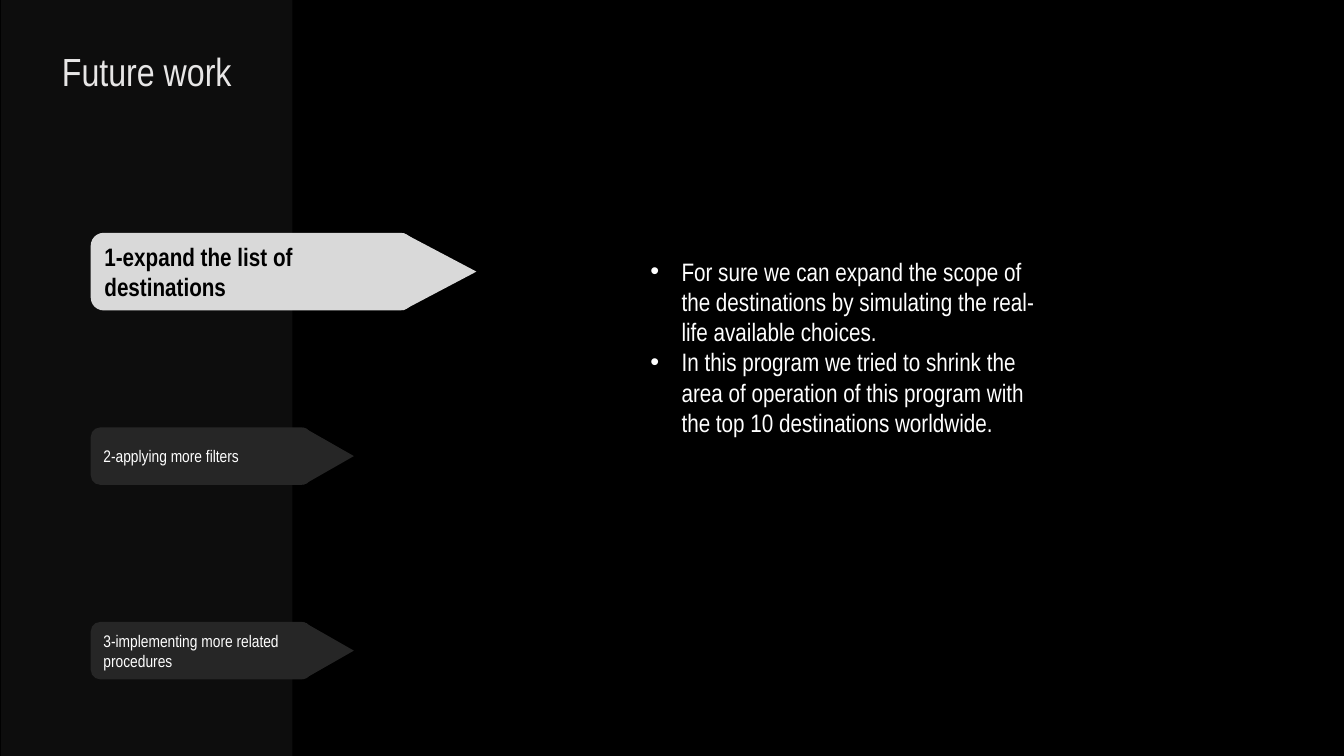
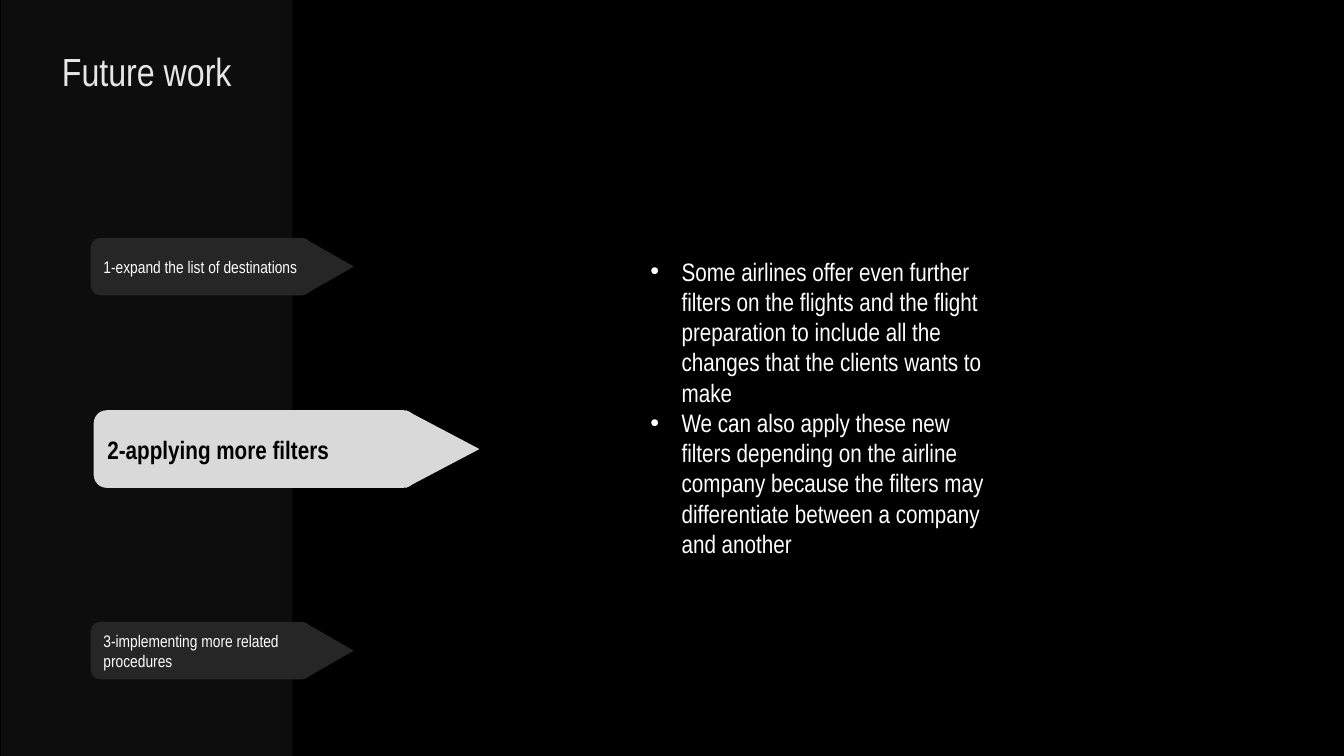
from pptx import Presentation
from pptx import util as u
from pptx.dml.color import RGBColor
from pptx.enum import shapes, text

FONT = "Arial Narrow"
COLOURS = {
    "background": "000000",
    "band": "0D0D0D",
    "title": "E7E6E6",
    "body": "FFFFFF",
}
TITLE = "Future work"
TOPICS = [
    "1-expand the list of destinations",
    "2-applying more filters",
    "3-implementing more related procedures",
]
TAG_STYLES = {
    "active": {"width": 3.2, "height": 0.77, "tip": 0.73, "tip_centre": 3.46,
               "size": 18, "bold": True, "fill": "D9D9D9", "font": "000000"},
    "idle": {"width": 2.19, "height": 0.57, "tip": 0.5, "tip_centre": 2.36,
             "size": 12, "bold": False, "fill": "262626", "font": "FFFFFF"},
}
SLIDES = [
    {
        "active": 0,
        "tags": [(0.9, 2.31), (0.9, 4.24), (0.9, 6.17)],
        "body_size": (4.09, 2.22),
        "points": [
            "For sure we can expand the scope of the destinations by simulating the real-life available choices.",
            "In this program we tried to shrink the area of operation of this program with the top 10 destinations worldwide.",
        ],
    },
    {
        "active": 1,
        "tags": [(0.9, 2.36), (0.93, 4.07), (0.9, 6.17)],
        "body_size": (3.68, 3.13),
        "points": [
            "Some airlines offer even further filters on the flights and the flight preparation to include all the changes that the clients wants to make",
            "We can also apply these new filters depending on the airline company because the filters may differentiate between a company and another",
        ],
    },
]


def place(shape, left, top, width, height):
    shape.left, shape.top = u.Inches(left), u.Inches(top)
    shape.width, shape.height = u.Inches(width), u.Inches(height)


def format_text(shape, size, colour, bold=False, align=text.PP_ALIGN.LEFT,
                anchor=text.MSO_ANCHOR.TOP):
    frame = shape.text_frame
    frame.word_wrap = True
    frame.auto_size = text.MSO_AUTO_SIZE.NONE
    frame.vertical_anchor = anchor
    for paragraph in frame.paragraphs:
        paragraph.alignment = align
        paragraph.space_before = u.Pt(0)
        for run in paragraph.runs:
            run.font.name = FONT
            run.font.size = u.Pt(size)
            run.font.bold = bold
            run.font.color.rgb = RGBColor.from_string(colour)


def add_filled(slide, kind, left, top, width, height, colour):
    shape = slide.shapes.add_shape(
        kind, u.Inches(left), u.Inches(top), u.Inches(width), u.Inches(height))
    shape.shadow.inherit = False
    shape.fill.solid()
    shape.fill.fore_color.rgb = RGBColor.from_string(colour)
    shape.line.fill.background()
    return shape


def add_band(slide):
    band = add_filled(slide, shapes.MSO_SHAPE.RECTANGLE,
                      0.01, 0, 2.89, 7.5, COLOURS["band"])
    slide.shapes._spTree.insert(2, band._element)


def add_title(slide):
    title = slide.shapes.title
    place(title, 0.48, 0.42, 1.95, 0.57)
    title.text_frame.text = TITLE
    format_text(title, 28, COLOURS["title"], align=text.PP_ALIGN.CENTER)


def add_tag(slide, label, left, top, style):
    height, tip = style["height"], style["tip"]
    tag = add_filled(slide, shapes.MSO_SHAPE.ROUNDED_RECTANGLE,
                     left, top, style["width"], height, style["fill"])
    tag.text_frame.text = label
    format_text(tag, style["size"], style["font"], style["bold"],
                anchor=text.MSO_ANCHOR.MIDDLE)
    arrow_tip = add_filled(slide, shapes.MSO_SHAPE.ISOSCELES_TRIANGLE,
                           left + style["tip_centre"] - height / 2,
                           top + (height - tip) / 2, height, tip, style["fill"])
    arrow_tip.rotation = 90


def add_points(slide, points, size):
    body = slide.placeholders[1]
    place(body, 6.35, 2.49, *size)
    body.text_frame.text = "\n".join(points)
    format_text(body, 18, COLOURS["body"])
    indent = u.Inches(0.31)
    for paragraph in body.text_frame.paragraphs:
        properties = paragraph._p.get_or_add_pPr()
        properties.set("marL", str(indent))
        properties.set("indent", str(-indent))


def main():
    presentation = Presentation()
    presentation.slide_width = u.Inches(13.33)
    presentation.slide_height = u.Inches(7.5)
    background = presentation.slide_master.background.fill
    background.solid()
    background.fore_color.rgb = RGBColor.from_string(COLOURS["background"])
    for content in SLIDES:
        slide = presentation.slides.add_slide(presentation.slide_layouts[1])
        add_band(slide)
        add_title(slide)
        for index, (label, position) in enumerate(zip(TOPICS, content["tags"])):
            state = "active" if index == content["active"] else "idle"
            add_tag(slide, label, *position, TAG_STYLES[state])
        add_points(slide, content["points"], content["body_size"])
    presentation.save("out.pptx")


if __name__ == "__main__":
    main()
